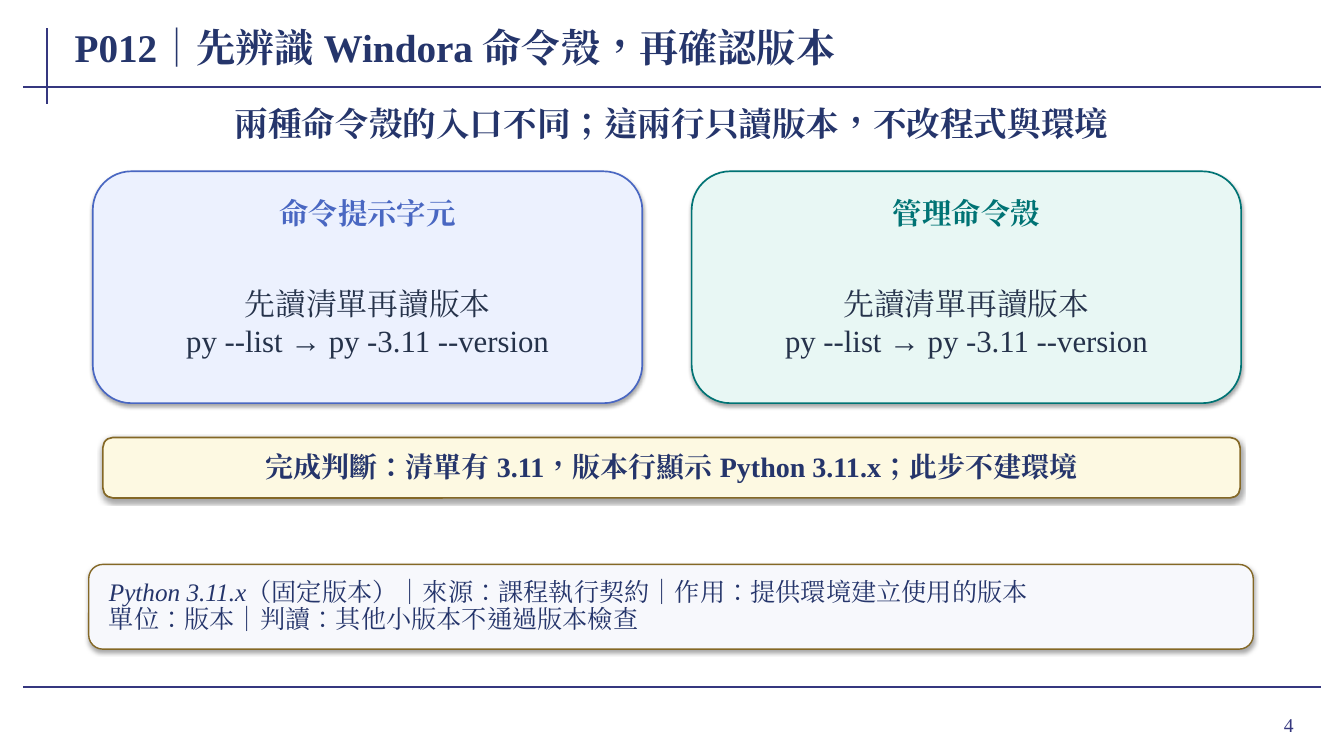
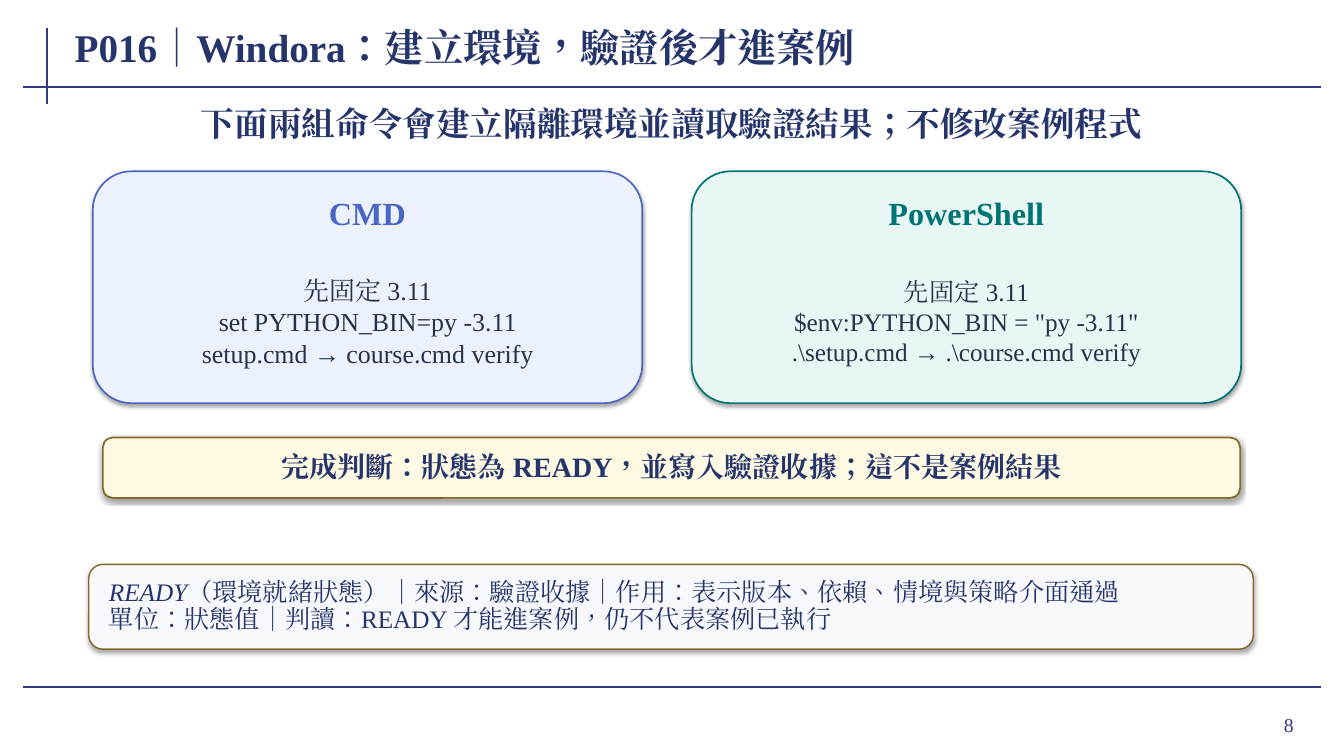
from lxml.etree import SubElement
from pptx import Presentation
from pptx.dml.color import RGBColor
from pptx.enum.shapes import MSO_CONNECTOR, MSO_SHAPE
from pptx.enum.text import MSO_ANCHOR, MSO_AUTO_SIZE, PP_ALIGN
from pptx.oxml.ns import qn
from pptx.util import Inches, Pt

FONT = "Times New Roman"
COLORS = {
    "rule": "35377F", "navy": "25356B", "body": "25324A",
    "blue": "4967C2", "blue_fill": "ECF1FE",
    "teal": "007374", "teal_fill": "E8F7F4",
    "gold": "846826", "cream": "FDF9E2", "note_fill": "F7F8FC",
}
SHADOW = {"blurRad": Pt(3.1), "dist": Pt(1.8), "dir": 90 * 60000, "rotWithShape": 0}
SHADOW_ALPHA = 35 * 1000

FRAME_LINES = [
    (0.47, 0.28, 0.47, 1.03),
    (0.23, 0.86, 13.1, 0.86),
    (0.23, 6.82, 13.1, 6.82),
]
CARD_LEFT, CARD_TOP, CARD_WIDTH, CARD_HEIGHT, CARD_GAP = 0.92, 1.7, 5.45, 2.3, 0.49
CARD_THEMES = ["blue", "teal"]
TIGHT = (0.02, 0.01)

SLIDES = [
    {
        "number": "4",
        "title": "P012｜先辨識 Windora 命令殼，再確認版本",
        "lead": "兩種命令殼的入口不同；這兩行只讀版本，不改程式與環境",
        "heading_size": 21,
        "cards": [
            ("命令提示字元", 22, ["先讀清單再讀版本", "py --list → py -3.11 --version"]),
            ("管理命令殼", 22, ["先讀清單再讀版本", "py --list → py -3.11 --version"]),
        ],
        "check": "完成判斷：清單有 3.11，版本行顯示 Python 3.11.x；此步不建環境",
        "term": "Python 3.11.x",
        "meaning": "（固定版本）｜來源：課程執行契約｜作用：提供環境建立使用的版本",
        "reading": "單位：版本｜判讀：其他小版本不通過版本檢查",
    },
    {
        "number": "8",
        "title": "P016｜Windora：建立環境，驗證後才進案例",
        "lead": "下面兩組命令會建立隔離環境並讀取驗證結果；不修改案例程式",
        "heading_size": 23,
        "cards": [
            ("CMD", 18.5,
             ["先固定 3.11", "set PYTHON_BIN=py -3.11", "setup.cmd → course.cmd verify"]),
            ("PowerShell", 18,
             ["先固定 3.11", '$env:PYTHON_BIN = "py -3.11"',
              ".\\setup.cmd → .\\course.cmd verify"]),
        ],
        "check": "完成判斷：狀態為 READY，並寫入驗證收據；這不是案例結果",
        "term": "READY",
        "meaning": "（環境就緒狀態）｜來源：驗證收據｜作用：表示版本、依賴、情境與策略介面通過",
        "reading": "單位：狀態值｜判讀：READY 才能進案例，仍不代表案例已執行",
    },
]


def rgb(name):
    return RGBColor.from_string(COLORS[name])


def write(shape, paragraphs, size, color, bold=False, align=PP_ALIGN.CENTER,
          insets=TIGHT, spacing=None):
    """Fill a shape with paragraphs, each a list of (text, italic) runs."""
    frame = shape.text_frame
    frame.word_wrap = True
    frame.vertical_anchor = MSO_ANCHOR.MIDDLE
    frame.margin_left = frame.margin_right = Inches(insets[0])
    frame.margin_top = frame.margin_bottom = Inches(insets[1])
    for index, runs in enumerate(paragraphs):
        paragraph = frame.add_paragraph() if index else frame.paragraphs[0]
        paragraph.alignment = align
        if spacing:
            paragraph.line_spacing = spacing
        for text, italic in runs:
            run = paragraph.add_run()
            run.text = text
            font = run.font
            font.size, font.bold, font.italic = Pt(size), bold, italic
            font.color.rgb = rgb(color)
            font.name = FONT
            properties = run._r.get_or_add_rPr()
            properties.set("lang", "zh-TW")
            SubElement(properties, qn("a:ea")).set("typeface", FONT)


def plain(*lines):
    return [[(line, False)] for line in lines]


def add_text(slide, box, lines, size, color, grow=True, **style):
    shape = slide.shapes.add_textbox(*map(Inches, box))
    write(shape, plain(*lines), size, color, **style)
    if grow:
        shape.text_frame.auto_size = MSO_AUTO_SIZE.SHAPE_TO_FIT_TEXT


def add_panel(slide, box, fill, line, line_width=1.2):
    """Add a rounded box with the soft shadow all panels share."""
    panel = slide.shapes.add_shape(MSO_SHAPE.ROUNDED_RECTANGLE, *map(Inches, box))
    panel.fill.solid()
    panel.fill.fore_color.rgb = rgb(fill)
    panel.line.color.rgb = rgb(line)
    panel.line.width = Pt(line_width)
    panel.shadow.inherit = False
    effects = panel._element.spPr.find(qn("a:effectLst"))
    shadow = SubElement(effects, qn("a:outerShdw"))
    for name, value in SHADOW.items():
        shadow.set(name, str(value))
    color = SubElement(shadow, qn("a:srgbClr"))
    color.set("val", "000000")
    SubElement(color, qn("a:alpha")).set("val", str(SHADOW_ALPHA))
    return panel


def add_frame(slide, title, number):
    """Add the rules, title and page number that every slide carries."""
    for ends in FRAME_LINES:
        rule = slide.shapes.add_connector(MSO_CONNECTOR.STRAIGHT, *map(Inches, ends))
        rule.line.color.rgb = rgb("rule")
        rule.line.width = Pt(1.5)
        SubElement(rule._element.spPr, qn("a:effectLst"))
    add_text(slide, (11.96, 6.93, 0.97, 0.52), [number], 14, "rule", grow=False,
             align=PP_ALIGN.RIGHT, insets=(0.1, 0.05))
    add_text(slide, (0.72, 0.2, 10.35, 0.53), [title], 28, "navy", grow=False,
             bold=True, align=PP_ALIGN.LEFT, insets=(0.02, 0))


def add_card(slide, column, heading, heading_size, lines, size):
    theme = CARD_THEMES[column]
    left = CARD_LEFT + column * (CARD_WIDTH + CARD_GAP)
    add_panel(slide, (left, CARD_TOP, CARD_WIDTH, CARD_HEIGHT), theme + "_fill", theme)
    add_text(slide, (left + 0.18, CARD_TOP + 0.2, CARD_WIDTH - 0.36, 0.42),
             [heading], heading_size, theme, bold=True)
    add_text(slide, (left + 0.22, CARD_TOP + 0.88, CARD_WIDTH - 0.44, 1.22),
             lines, size, "body")


def build_slide(presentation, content):
    slide = presentation.slides.add_slide(presentation.slide_layouts[6])
    add_frame(slide, content["title"], content["number"])
    add_text(slide, (1.02, 1.02, 11.28, 0.4), [content["lead"]], 24, "navy", bold=True)
    for column, (heading, size, lines) in enumerate(content["cards"]):
        add_card(slide, column, heading, content["heading_size"], lines, size)
    check = add_panel(slide, (1.02, 4.34, 11.28, 0.6), "cream", "gold")
    write(check, plain(content["check"]), 20, "navy", bold=True,
          insets=(0.1, 0.04), spacing=0.95)
    note = add_panel(slide, (0.88, 5.6, 11.55, 0.84), "note_fill", "gold", 1)
    definition = [(content["term"], True), (content["meaning"], False)]
    write(note, [definition] + plain(content["reading"]), 18, "navy",
          align=PP_ALIGN.LEFT, insets=(0.16, 0.04), spacing=0.9)


def main():
    presentation = Presentation()
    presentation.slide_width = Inches(13.33)
    presentation.slide_height = Inches(7.5)
    for content in SLIDES:
        build_slide(presentation, content)
    presentation.save("out.pptx")


if __name__ == "__main__":
    main()
